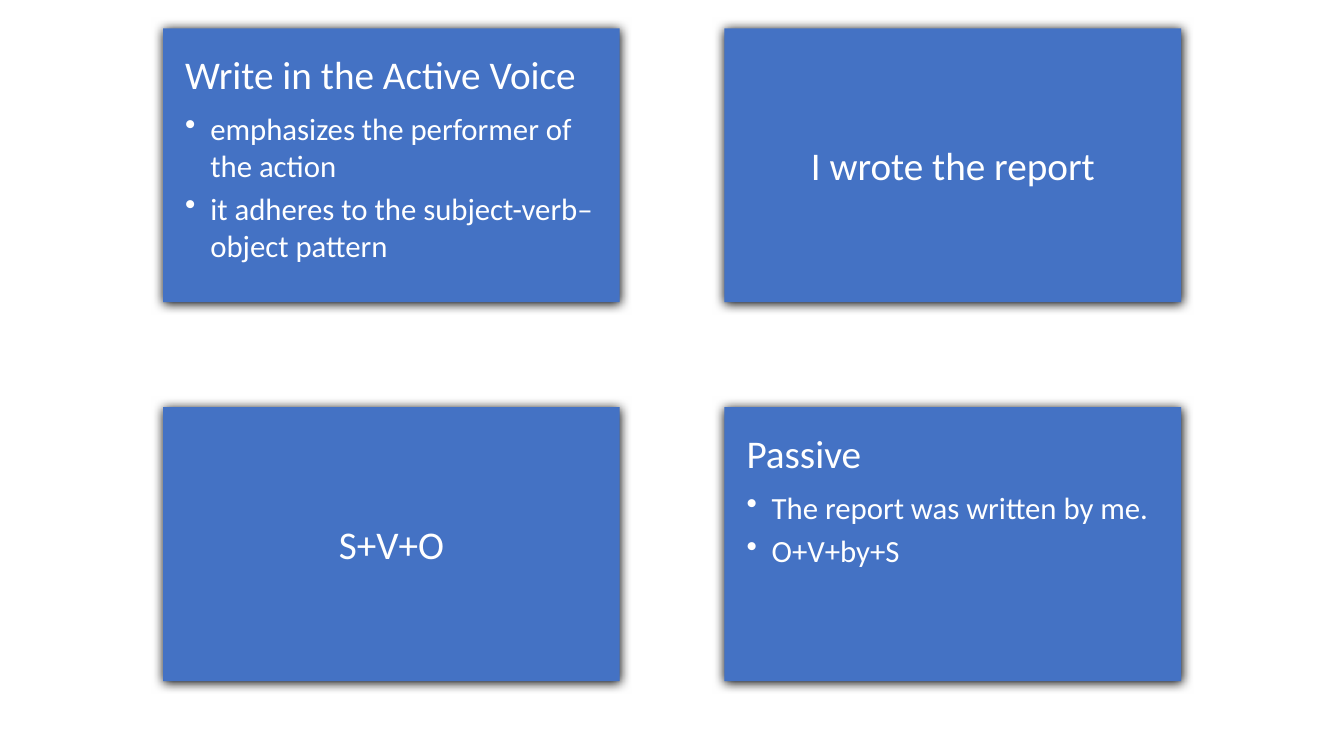
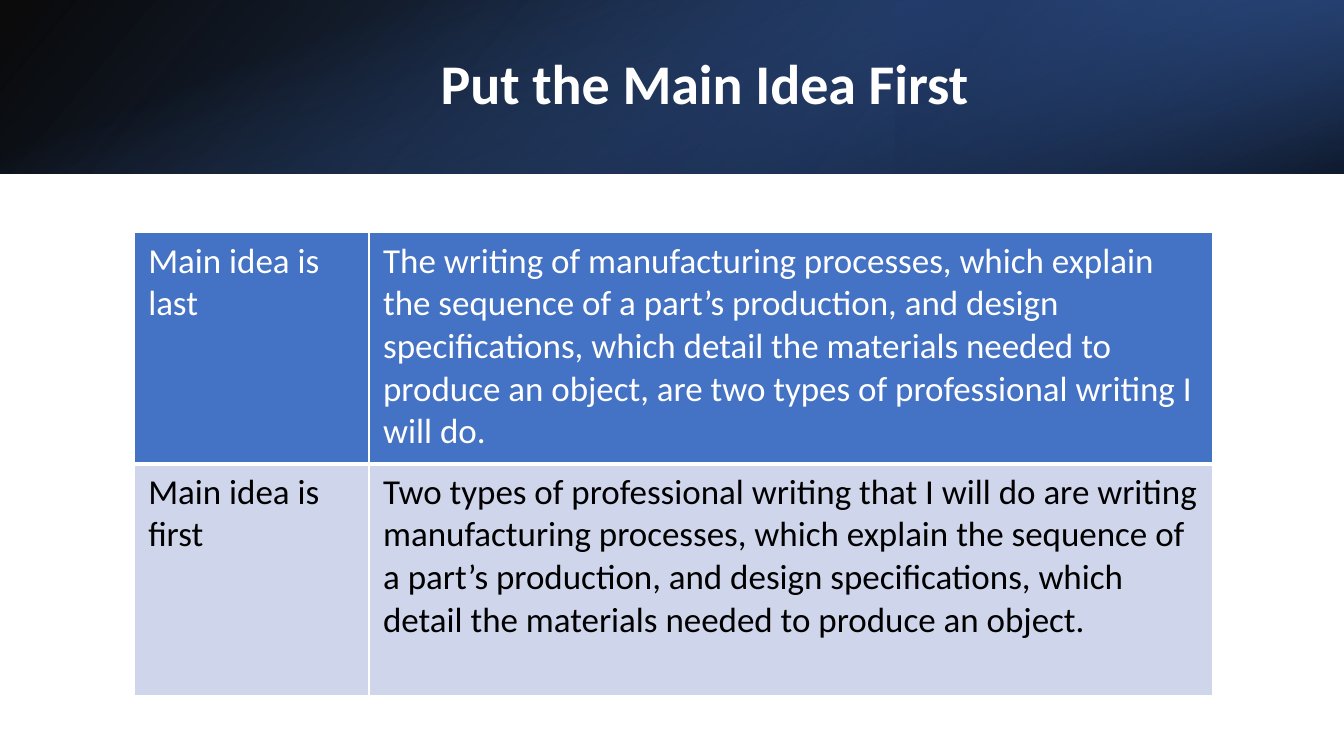
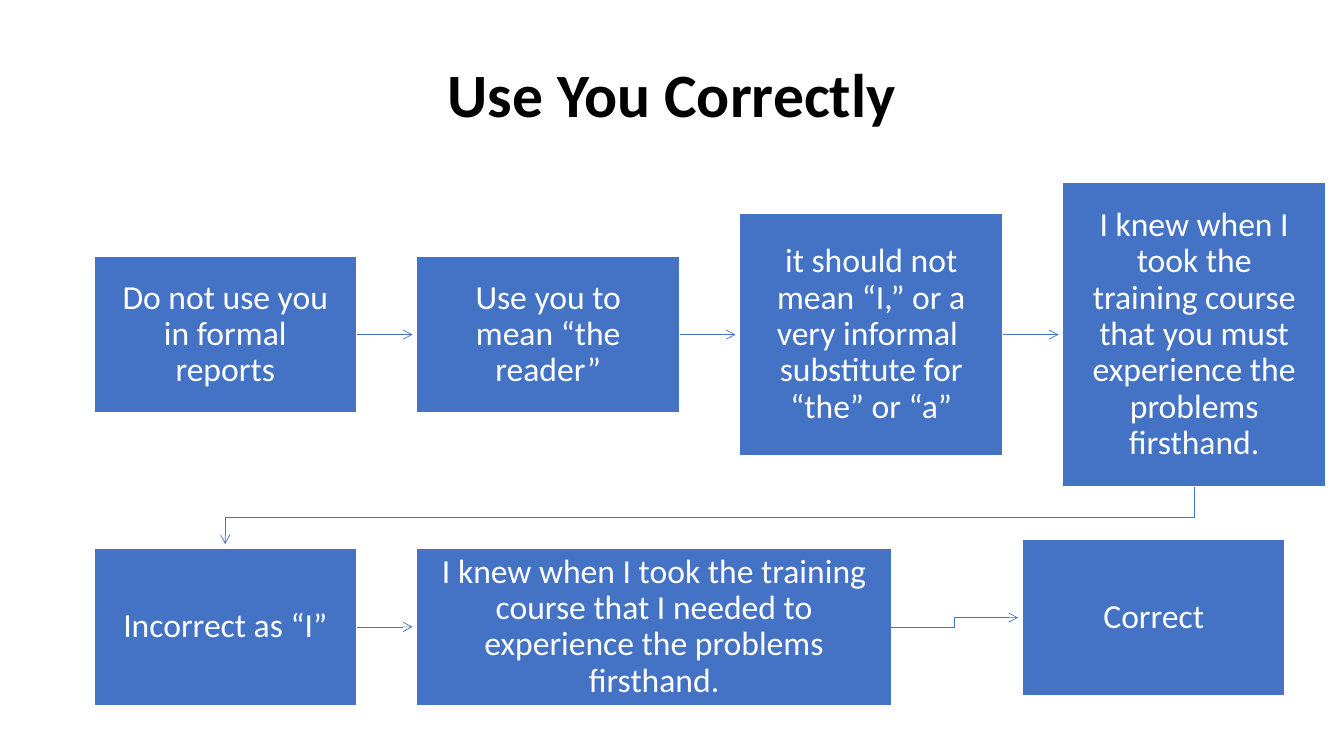
"""Build three slides on clear sentences: active voice, main idea first, correct use of you."""
from lxml import etree
from pptx import Presentation
from pptx.dml.color import RGBColor
from pptx.enum import shapes, text
from pptx.oxml import ns
from pptx.util import Pt

BLUE, PALE, WHITE, BLACK = "4472C4", "CFD5EA", "FFFFFF", "000000"
FONT = "Calibri"
CENTER, LEFT = text.PP_ALIGN.CENTER, text.PP_ALIGN.LEFT
MIDDLE, TOP = text.MSO_ANCHOR.MIDDLE, text.MSO_ANCHOR.TOP
RECTANGLE = shapes.MSO_SHAPE.RECTANGLE


def color(code):
    return RGBColor.from_string(code)


def write(frame, words, size, ink=WHITE, bold=False, align=LEFT, anchor=TOP,
          spacing=1.0, after=0, bullet=False, inset=None):
    frame.vertical_anchor = anchor
    if inset is not None:
        frame.word_wrap = True
        frame.margin_left = frame.margin_right = Pt(inset)
        frame.margin_top = frame.margin_bottom = Pt(inset)
    para = frame.add_paragraph() if frame.text else frame.paragraphs[0]
    para.alignment = align
    para.line_spacing = spacing
    para.space_before, para.space_after = Pt(0), Pt(after)
    if bullet:
        layout = para._p.get_or_add_pPr()
        layout.set("marL", str(Pt(18)))
        layout.set("indent", str(Pt(-18)))
        etree.SubElement(layout, ns.qn("a:buChar"), char="•")
    span = para.add_run()
    span.text = words
    span.font.name, span.font.size, span.font.bold = FONT, Pt(size), bold
    span.font.color.rgb = color(ink)


deck = Presentation()
deck.slide_width, deck.slide_height = Pt(960), Pt(540)
title_only, blank = deck.slide_layouts[5], deck.slide_layouts[6]

page = deck.slides.add_slide(blank)
cards = [
    ("Write in the Active Voice", ["emphasizes the performer of the action",
                                   "it adheres to the subject-verb–object pattern"]),
    ("I wrote the report", []),
    ("S+V+O", []),
    ("Passive", ["The report was written by me.", "O+V+by+S"]),
]
for index, (heading, points) in enumerate(cards):
    row, column = divmod(index, 2)
    card = page.shapes.add_shape(RECTANGLE, Pt(116.5 + 401 * column), Pt(20.2 + 270.7 * row),
                                 Pt(326.2), Pt(195.7))
    card.fill.solid()
    card.fill.fore_color.rgb = color(BLUE)
    card.line.fill.background()
    card.shadow.inherit = False
    effects = card._element.spPr.find(ns.qn("a:effectLst"))
    shadow = etree.SubElement(effects, ns.qn("a:outerShdw"), blurRad=str(Pt(8.5)),
                              dist=str(Pt(1)), dir="5400000", algn="ctr", rotWithShape="0")
    etree.SubElement(shadow, ns.qn("a:srgbClr"), val=BLACK)
    write(card.text_frame, heading, 28, align=LEFT if points else CENTER,
          anchor=TOP if points else MIDDLE, after=9 if points else 0, inset=15.8)
    for point in points:
        write(card.text_frame, point, 22, after=4, bullet=True)

page = deck.slides.add_slide(title_only)
title = page.shapes.title
bands = [
    ((0, 0, 960, 124), 0, True, 140, [(0, BLACK, 96), (100, "2F5597", 100)]),
    ((640, 0, 320, 124), 180, True, 320, [(19, "203864", 68), (100, BLUE, 79)]),
    ((418, -418, 124, 960), 90, False, 340, [(23, BLUE, 0), (99, BLACK, 74)]),
]
for place, turn, flipped, angle, stops in bands:
    band = page.shapes.add_shape(RECTANGLE, *map(Pt, place))
    band.rotation = turn
    band.shadow.inherit = False
    band.line.fill.background()
    band.fill.gradient()
    band.fill.gradient_angle = 360 - angle
    for stop, (position, code, opacity) in zip(band.fill.gradient_stops, stops):
        stop.position = position / 100
        stop.color.rgb = color(code)
    tints = band._element.spPr.xpath(".//a:gs/a:srgbClr")
    for tint, (position, code, opacity) in zip(tints, stops):
        etree.SubElement(tint, ns.qn("a:alpha"), val=str(opacity * 1000))
    if flipped:
        band._element.spPr.find(ns.qn("a:xfrm")).set("flipH", "1")
    title._element.addprevious(band._element)
title.left, title.top, title.width, title.height = Pt(108), Pt(27.4), Pt(790.6), Pt(69)
title.text_frame.auto_size = text.MSO_AUTO_SIZE.NONE
write(title.text_frame, "Put the Main Idea First", 40, bold=True, align=CENTER,
      anchor=MIDDLE, spacing=0.9)

rows = [
    ("Main idea is last",
     "The writing of manufacturing processes, which explain the sequence of a part’s "
     "production, and design specifications, which detail the materials needed to produce "
     "an object, are two types of professional writing I will do."),
    ("Main idea is first",
     "Two types of professional writing that I will do are writing manufacturing processes, "
     "which explain the sequence of a part’s production, and design specifications, which "
     "detail the materials needed to produce an object."),
]
looks = [(BLUE, WHITE, {"lnB": 3}), (PALE, BLACK, {"lnT": 3})]
table = page.shapes.add_table(2, 2, Pt(95.8), Pt(166.3), Pt(770.4), Pt(330.4)).table
table.columns[0].width, table.columns[1].width = Pt(167.8), Pt(602.6)
for row, (entries, (back, ink, thick)) in enumerate(zip(rows, looks)):
    table.rows[row].height = Pt(165.2)
    for column, words in enumerate(entries):
        cell = table.cell(row, column)
        cell.margin_left = cell.margin_right = Pt(10.1)
        cell.margin_top = cell.margin_bottom = Pt(5)
        for side in ("lnL", "lnR", "lnT", "lnB"):
            border = etree.SubElement(cell._tc.get_or_add_tcPr(), ns.qn("a:" + side),
                                      w=str(Pt(thick.get(side, 1))))
            paint = etree.SubElement(border, ns.qn("a:solidFill"))
            etree.SubElement(paint, ns.qn("a:srgbClr"), val=WHITE)
        cell.fill.solid()
        cell.fill.fore_color.rgb = color(back)
        write(cell.text_frame, words, 25, ink=ink)

page = deck.slides.add_slide(title_only)
title = page.shapes.title
title.left, title.top, title.width, title.height = Pt(66), Pt(28.8), Pt(828), Pt(82)
title.text_frame.auto_size = text.MSO_AUTO_SIZE.NONE
write(title.text_frame, "Use You Correctly", 44, ink=BLACK, bold=True, align=CENTER,
      anchor=MIDDLE, spacing=0.9)

first, step, width, height = 67, 230.7, 187.8, 112.2
upper, lower, last = 239, 447.8, 441.2
steps = [
    ("Do not use you in formal reports", first, upper, width, height),
    ("Use you to mean “the reader”", first + step, upper, width, height),
    ("it should not mean “I,” or a very informal  substitute for “the” or “a”",
     first + 2 * step, upper, width, 173.6),
    ("I knew when I took the training course that you must experience the problems firsthand.",
     first + 3 * step, upper, width, 218),
    ("Incorrect as “I”", first, lower, width, height),
    ("I knew when I took the training course that I needed to experience the problems firsthand.",
     first + step, lower, 339, height),
    ("Correct", 730.2, last, width, height),
]
boxes = []
for words, left, middle, wide, high in steps:
    box = page.shapes.add_shape(RECTANGLE, Pt(left), Pt(middle - high / 2), Pt(wide), Pt(high))
    box.fill.solid()
    box.fill.fore_color.rgb = color(BLUE)
    box.line.color.rgb = color(WHITE)
    box.line.width = Pt(1)
    box.shadow.inherit = False
    write(box.text_frame, words, 24, align=CENTER, anchor=MIDDLE, spacing=0.9, inset=13.6)
    boxes.append(box)

arrows = []
for source in (0, 1, 2, 4, 5):
    start, end = boxes[source], boxes[source + 1]
    start_y, end_y = start.top + start.height // 2, end.top + end.height // 2
    kind = shapes.MSO_CONNECTOR.ELBOW if source == 5 else shapes.MSO_CONNECTOR.STRAIGHT
    arrow = page.shapes.add_connector(kind, start.left + start.width, start_y,
                                      end.left - Pt(3), end_y)
    arrow.begin_connect(start, 3)
    arrows.append(arrow)

start, end = boxes[3], boxes[4]
start_x, end_x = start.left + start.width // 2, end.left + end.width // 2
start_y, end_y = start.top + start.height, end.top - Pt(3)
turn_y = start_y + Pt(21.6)
route = page.shapes.build_freeform(start_x, start_y)
route.add_line_segments([(start_x, turn_y), (end_x, turn_y), (end_x, end_y)], close=False)
return_arrow = route.convert_to_shape()
return_arrow.fill.background()
arrows.append(return_arrow)

for arrow in arrows:
    arrow.line.color.rgb = color(BLUE)
    arrow.line.width = Pt(0.5)
    outline = arrow._element.spPr.find(ns.qn("a:ln"))
    etree.SubElement(outline, ns.qn("a:tailEnd"), type="arrow")
    etree.SubElement(arrow._element.spPr, ns.qn("a:effectLst"))

deck.save("out.pptx")
